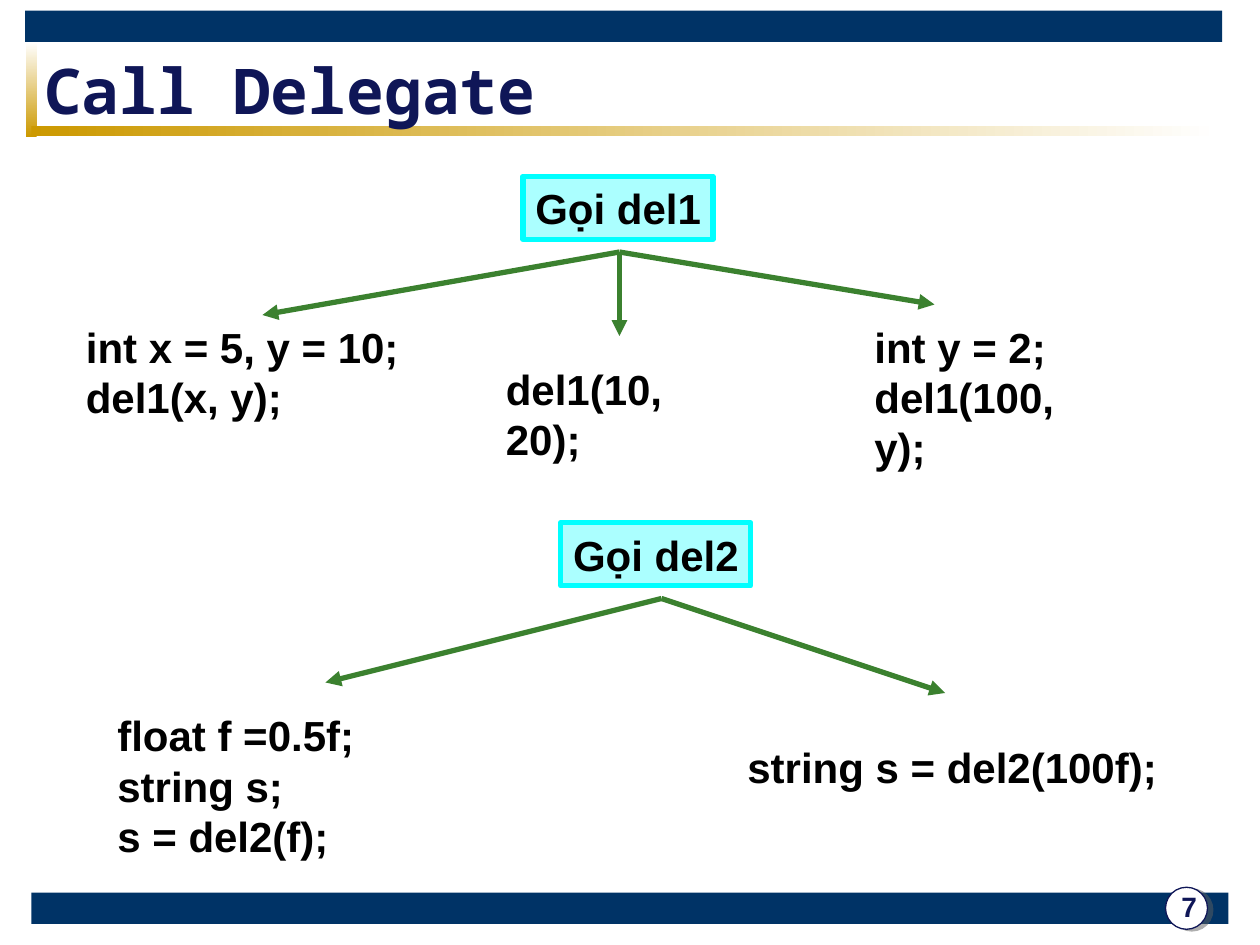
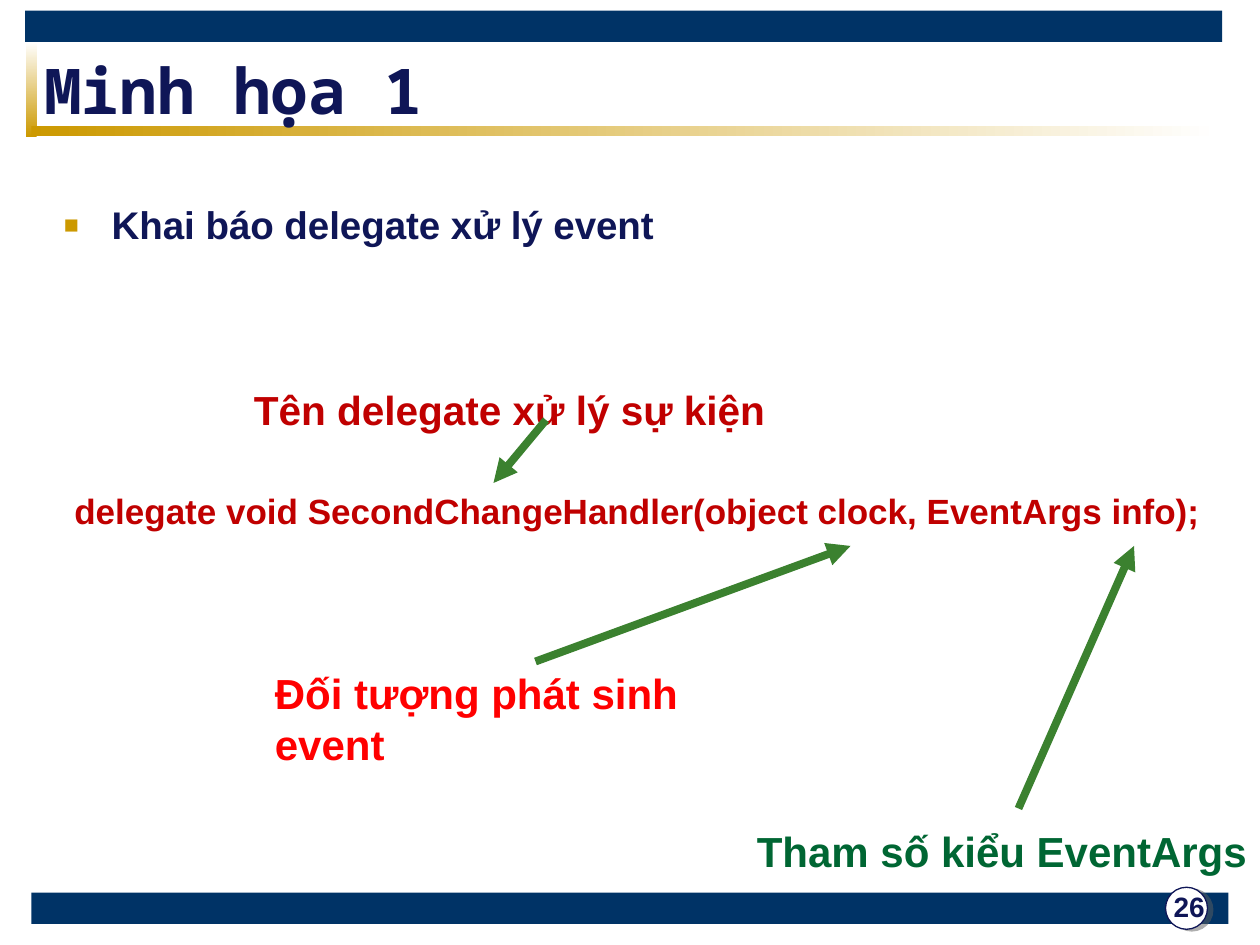
"""Builds two slides on calling delegates and declaring an event delegate."""
from lxml.etree import SubElement
from pptx import Presentation
from pptx.dml.color import RGBColor
from pptx.enum.shapes import MSO_CONNECTOR as Connector, MSO_SHAPE as Preset
from pptx.enum.text import MSO_ANCHOR as Anchor, MSO_AUTO_SIZE as AutoSize, PP_ALIGN as Align
from pptx.oxml.ns import qn
from pptx.util import Inches, Pt

COLORS = {
    "band": "003366", "gold": "CC9900", "white": "FFFFFF", "ink": "0F1657",
    "black": "000000", "cyan": "00FFFF", "arrow": "3B812F", "shadow": "5F5F5F",
    "dark red": "C00000", "red": "FF0000", "green": "006633",
}
COLUMNS, ROWS = 120, 90
WIDTH, HEIGHT = Inches(10), Inches(7.5)
LINE_ROWS, INSET_ROWS = 4.8, 1.2
CALL_SIZE = (18.1, 6)

TITLE = (3, 5, 108, 7)
PAGE_NUMBER = (110.3, 84.1, 5.9, 4.4)
BADGE = (111, 84.5, 4, 4)
BANDS = [(3, 85, 114, 3), (2.4, 1, 114, 3)]
FADES = [
    ((2.5, 4, 1, 9), "white", "gold", 270),
    ((3, 12, 113, 1), "gold", "white", 0),
]

CALLS = {
    "title": "Call Delegate",
    "number": "7",
    "groups": [
        {
            "label": "Gọi del1", "at": (49.8, 16.8), "root": (59, 24),
            "tips": [(25, 30), (59, 32), (89, 29)],
            "code": [
                ((7, 30, 32.2), ["int x = 5, y = 10;", "del1(x, y);"]),
                ((47, 34, 25.4), ["del1(10, 20);"]),
                ((82.1, 30, 25.4), ["int y = 2;", "del1(100, y);"]),
            ],
        },
        {
            "label": "Gọi del2", "at": (53.4, 49.8), "root": (63, 57),
            "tips": [(31, 65), (90, 66)],
            "code": [
                ((10, 67, 25), ["float f =0.5f;", "string s;", "s = del2(f);"]),
                ((70, 70, 41.4), ["string s = del2(100f);"]),
            ],
        },
    ],
}
DECLARATION = {
    "title": "Minh họa 1",
    "number": "26",
    "bullet": ((4.9, 18.6, 110, 30), "Khai báo delegate xử lý event"),
    "texts": [
        ((5.9, 46, 109.7, 9.2), "delegate void SecondChangeHandler(object clock, EventArgs info);",
         {"size": 20, "color": "dark red"}),
        ((23, 31.6, 51.1, 10.3), "Tên delegate xử lý sự kiện",
         {"size": 40, "color": "dark red", "baseline": -25}),
        ((25, 63, 52.3, 6), "Đối tượng phát sinh event", {"color": "red"}),
        ((70.9, 78, 49.1, 6), "Tham số kiểu EventArgs", {"color": "green"}),
    ],
    "arrows": [((52, 40), (47, 46)), ((51, 63), (81, 52)), ((97, 77), (108, 52))],
}


def rgb(name):
    return RGBColor.from_string(COLORS[name])


def cells(values):
    units = (WIDTH / COLUMNS, HEIGHT / ROWS)
    return [round(value * units[index % 2]) for index, value in enumerate(values)]


def place(shape, box):
    for side, length in zip(("left", "top", "width", "height"), cells(box)):
        setattr(shape, side, length)


def write(shape, lines, size=24, color="black", face="Arial", align=Align.LEFT,
          baseline=0, **frame_format):
    frame = shape.text_frame
    for name, value in frame_format.items():
        setattr(frame, name, value)
    frame.text = "\n".join(lines)
    font_format = {"name": face, "size": Pt(size), "bold": True}
    for paragraph in frame.paragraphs:
        paragraph.alignment = align
        for run in paragraph.runs:
            for name, value in font_format.items():
                setattr(run.font, name, value)
            run.font.color.rgb = rgb(color)
            if baseline:
                run._r.get_or_add_rPr().set("baseline", str(baseline * 1000))


def add_text(slide, box, lines, **text_format):
    shape = slide.shapes.add_textbox(*cells(box))
    options = {"word_wrap": False, "auto_size": AutoSize.SHAPE_TO_FIT_TEXT}
    write(shape, lines, **{**options, **text_format})
    return shape


def add_block(slide, preset, box, fill, line=None, width=0):
    shape = slide.shapes.add_shape(preset, *cells(box))
    shape.shadow.inherit = False
    shape.fill.solid()
    shape.fill.fore_color.rgb = rgb(fill)
    if line:
        shape.line.color.rgb = rgb(line)
        shape.line.width = Pt(width)
    else:
        shape.line.fill.background()
    return shape


def add_alpha(parent, percent):
    SubElement(parent, qn("a:alpha")).set("val", str(percent * 1000))


def add_arrow(slide, start, end, width):
    arrow = slide.shapes.add_connector(Connector.STRAIGHT, *cells(start + end))
    arrow.line.color.rgb = rgb("arrow")
    arrow.line.width = Pt(width)
    SubElement(arrow.line._get_or_add_ln(), qn("a:tailEnd")).set("type", "triangle")
    SubElement(arrow._element.spPr, qn("a:effectLst"))


def add_badge(slide):
    badge = add_block(slide, Preset.OVAL, BADGE, "white", "ink", 0.75)
    effects = badge._element.spPr.find(qn("a:effectLst"))
    shadow = SubElement(effects, qn("a:outerShdw"), dist=str(Pt(3.2)), dir=str(18 * 60000))
    add_alpha(SubElement(shadow, qn("a:srgbClr"), val=COLORS["shadow"]), 50)
    return badge


def decorate_layout(layout, slide):
    shapes = [add_block(slide, Preset.RECTANGLE, box, "band") for box in BANDS]
    for box, first, last, angle in FADES:
        fade = add_block(slide, Preset.RECTANGLE, box, first)
        fade.fill.gradient()
        fade.fill.gradient_angle = angle
        for stop, name in zip(fade.fill.gradient_stops, (first, last)):
            stop.color.rgb = rgb(name)
        shapes.append(fade)
    shapes.append(add_badge(slide))
    for number, shape in enumerate(shapes, 100):
        shape._element.nvSpPr.cNvPr.set("id", str(number))
        layout.shapes._spTree.append(shape._element)


def start_slide(slide, content):
    title = slide.shapes.title
    place(title, TITLE)
    write(title, [content["title"]], size=36, color="ink", face="Noto Sans Mono",
          vertical_anchor=Anchor.MIDDLE, auto_size=AutoSize.NONE)
    add_text(slide, PAGE_NUMBER, [content["number"]], size=16, color="ink",
             align=Align.CENTER, word_wrap=True)


def add_group(slide, group):
    for box, lines in group["code"]:
        add_text(slide, (*box, len(lines) * LINE_ROWS + INSET_ROWS), lines)
    label = add_block(slide, Preset.RECTANGLE, group["at"] + CALL_SIZE, "cyan", "cyan", 3)
    add_alpha(label._element.spPr.find(qn("a:solidFill"))[0], 33)
    write(label, [group["label"]], word_wrap=False, vertical_anchor=Anchor.MIDDLE)
    for tip in group["tips"]:
        add_arrow(slide, group["root"], tip, 3)


def add_bullet(slide, box, text):
    shape = add_text(slide, box, [text], size=22, color="ink", word_wrap=True,
                     auto_size=AutoSize.NONE)
    properties = shape.text_frame.paragraphs[0]._p.get_or_add_pPr()
    indent = Inches(0.38)
    properties.set("marL", str(indent))
    properties.set("indent", str(-indent))
    SubElement(SubElement(properties, qn("a:buClr")), qn("a:srgbClr"), val=COLORS["gold"])
    SubElement(properties, qn("a:buSzPct"), val="65000")
    SubElement(properties, qn("a:buFont"), typeface="Arial")
    SubElement(properties, qn("a:buChar"), char="■")


def main():
    presentation = Presentation()
    presentation.slide_width, presentation.slide_height = WIDTH, HEIGHT
    layout = presentation.slide_layouts[5]

    calls = presentation.slides.add_slide(layout)
    decorate_layout(layout, calls)
    start_slide(calls, CALLS)
    for group in CALLS["groups"]:
        add_group(calls, group)

    declaration = presentation.slides.add_slide(layout)
    start_slide(declaration, DECLARATION)
    add_bullet(declaration, *DECLARATION["bullet"])
    for box, text, text_format in DECLARATION["texts"]:
        add_text(declaration, box, [text], **text_format)
    for start, end in DECLARATION["arrows"]:
        add_arrow(declaration, start, end, 4.5)

    presentation.save("out.pptx")


if __name__ == "__main__":
    main()
